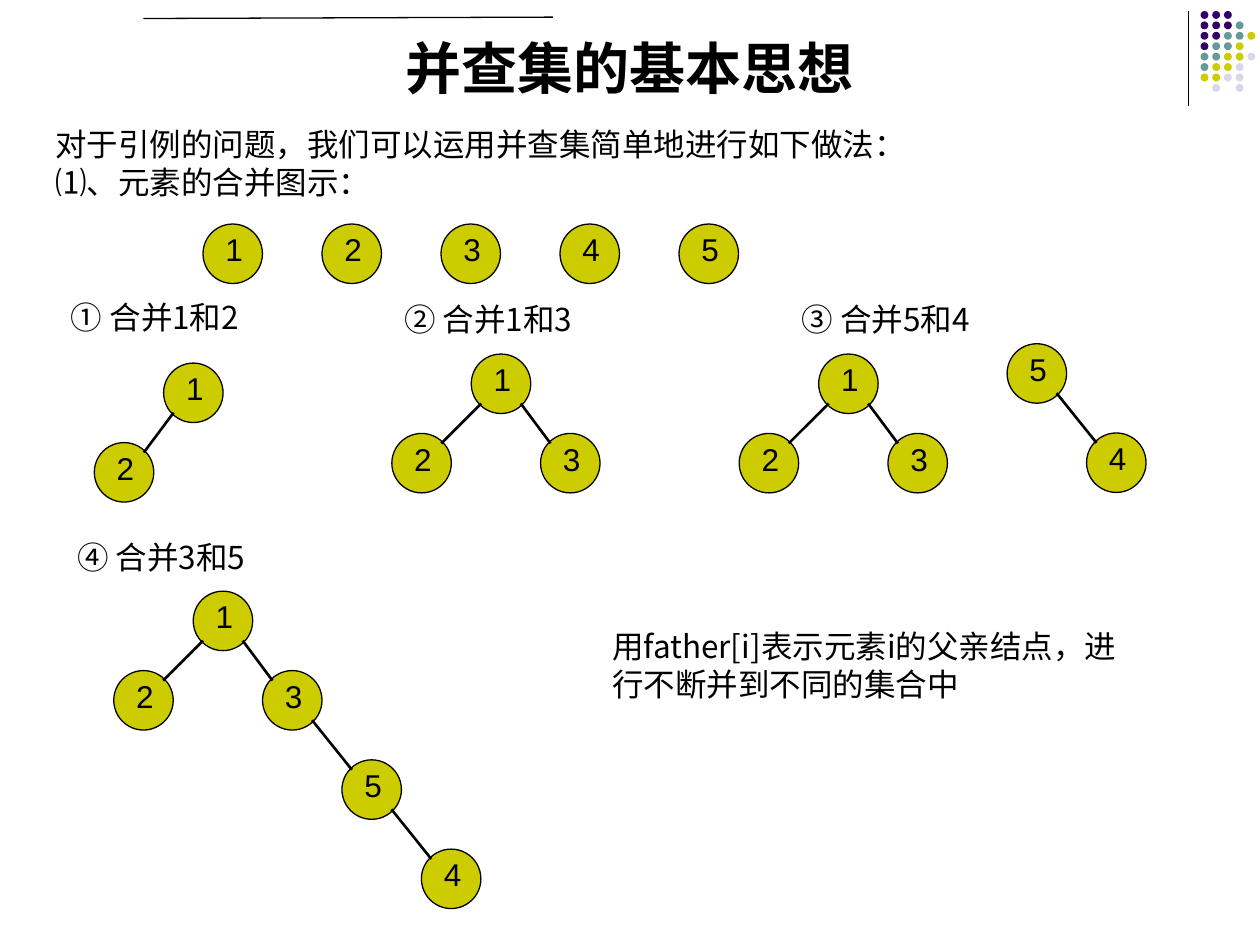
"""Build the slide on the basic idea of the union-find set."""
from dataclasses import dataclass

from lxml.etree import SubElement
from pptx import Presentation
from pptx.dml.color import RGBColor as RGB
from pptx.enum.shapes import MSO_CONNECTOR as CONN, MSO_SHAPE as SHAPE
from pptx.enum.text import MSO_ANCHOR as ANCHOR, MSO_AUTO_SIZE as AUTO, PP_ALIGN as ALIGN
from pptx.oxml.ns import qn
from pptx.util import Pt


@dataclass(frozen=True)
class Theme:
    """Colours, fonts and sizes of the slide."""
    ink: str = "000000"
    node: str = "CCCC00"
    purple: str = "330066"
    teal: str = "669999"
    pale: str = "D8D8EC"
    latin: str = "Arial"
    cjk: str = "Noto Sans CJK SC"
    title: int = 32
    body: int = 18
    thin: float = 0.75
    thick: float = 1.5
    diameter: float = 34
    inset: float = 5.7


class Deck:
    """Holds the theme and the current slide."""

    def __init__(self, theme, s):
        """Keep the theme and the slide."""
        self.t, self.s = theme, s

    def fill_text(self, tf, lines, size, font, bold=False, align=ALIGN.LEFT):
        """Fill a text frame with one paragraph per line."""
        for i, line in enumerate(lines):
            p = tf.add_paragraph() if i else tf.paragraphs[0]
            p.alignment = align
            r = p.add_run()
            r.text = line
            for name, value in {"name": font, "size": Pt(size), "bold": bold}.items():
                setattr(r.font, name, value)
            r.font.color.rgb = RGB.from_string(self.t.ink)
            SubElement(r.font._element, qn("a:ea"), typeface=self.t.cjk)

    def title(self, text, *box):
        """Place and fill the title placeholder."""
        sp = self.s.shapes.title
        for name, value in zip(("left", "top", "width", "height"), box):
            setattr(sp, name, Pt(value))
        tf = sp.text_frame
        for name, value in {"vertical_anchor": ANCHOR.BOTTOM, "auto_size": AUTO.NONE}.items():
            setattr(tf, name, value)
        self.fill_text(tf, [text], self.t.title, self.t.latin, True, ALIGN.CENTER)

    def text(self, lines, *box, font=None, shapes=None):
        """Add a text box."""
        sp = (shapes or self.s.shapes).add_textbox(*map(Pt, box))
        sp.text_frame.word_wrap = True
        self.fill_text(sp.text_frame, lines, self.t.body, font or self.t.cjk)

    def line(self, x1, y1, x2, y2, width, shapes=None):
        """Add a straight line without a shadow."""
        sp = (shapes or self.s.shapes).add_connector(CONN.STRAIGHT, *map(Pt, (x1, y1, x2, y2)))
        sp.line.color.rgb = RGB.from_string(self.t.ink)
        sp.line.width = Pt(width)
        SubElement(sp._element.spPr, qn("a:effectLst"))

    def circle(self, x, y, d, fill, shapes, outline=False):
        """Add a filled circle."""
        sp = shapes.add_shape(SHAPE.OVAL, *map(Pt, (x, y, d, d)))
        sp.shadow.inherit = False
        sp.fill.solid()
        sp.fill.fore_color.rgb = RGB.from_string(fill)
        if outline:
            sp.line.color.rgb = RGB.from_string(self.t.ink)
            sp.line.width = Pt(self.t.thin)
        else:
            sp.line.fill.background()

    def node(self, label, x, y):
        """Add a numbered node as a group."""
        shapes = self.s.shapes.add_group_shape().shapes
        self.circle(x, y, self.t.diameter, self.t.node, shapes, True)
        self.text([label], x + self.t.inset, y, 26, 29, font=self.t.latin, shapes=shapes)

    def tree(self, root, x, y, branches=()):
        """Add a root, then each branch as parent, child and offset."""
        near, far = self.t.inset, self.t.diameter - self.t.inset
        spots = {root: (x, y)}
        self.node(root, x, y)
        for parent, child, dx, dy in branches:
            px, py = spots[parent]
            cx, cy = spots[child] = px + dx, py + dy
            self.node(child, cx, cy)
            start, end = (near, far) if dx < 0 else (far, near)
            self.line(px + start, py + far, cx + end, cy + near, self.t.thick)

    def ornament(self, rows, x, y):
        """Add the corner rule and its dot grid."""
        colours = {"P": self.t.purple, "T": self.t.teal, "Y": self.t.node, "L": self.t.pale}
        shapes = self.s.shapes.add_group_shape().shapes
        self.line(x - 7, y, x - 7, y + 54, self.t.thin, shapes)
        for i, row in enumerate(rows):
            for j, key in enumerate(row):
                if key in colours:
                    self.circle(x + 6.7 * j, y + 5.95 * i, 4.5, colours[key], shapes)


def main():
    """Build and save the slide."""
    prs = Presentation()
    prs.slide_width, prs.slide_height = Pt(720), Pt(540)
    deck = Deck(Theme(), prs.slides.add_slide(prs.slide_layouts[5]))

    deck.ornament(["PPP", "PPPT", "PPTTY", "PTTY", "TTYYL", "TYYL", "YYLL", "-L-L"], 686, 6.3)
    deck.title("并查集的基本思想", 36, 15, 648, 46)
    deck.line(82, 10.6, 316, 9.8, deck.t.thin)
    deck.text(["对于引例的问题，我们可以运用并查集简单地进行如下做法：", "⑴、元素的合并图示："],
              24.5, 68, 670, 50)
    for i in range(5):
        deck.tree(str(i + 1), 116 + 68 * i, 128)

    for label, x, y in (("① 合并1和2", 33.5, 167), ("② 合并1和3", 224, 168),
                        ("③ 合并5和4", 451, 168), ("④ 合并3和5", 37, 304)):
        deck.text([label], x, y, 150, 29)

    pair = [("1", "2", -45.4, 45.4), ("1", "3", 39.6, 45.4)]
    tail = ("5", "4", 45.4, 51)
    deck.tree("1", 93.5, 207.5, [("1", "2", -39.6, 45.4)])
    deck.tree("1", 269.3, 202.3, pair)
    deck.tree("1", 467.8, 202.3, pair)
    deck.tree("5", 575.5, 196.4, [tail])
    deck.tree("1", 110.4, 337.8, [*pair, ("3", "5", 45.4, 51), tail])

    deck.text(["用father[i]表示元素i的父亲结点，进行不断并到不同的集合中"], 342.7, 355, 304.5, 50)
    prs.save("out.pptx")


if __name__ == "__main__":
    main()
